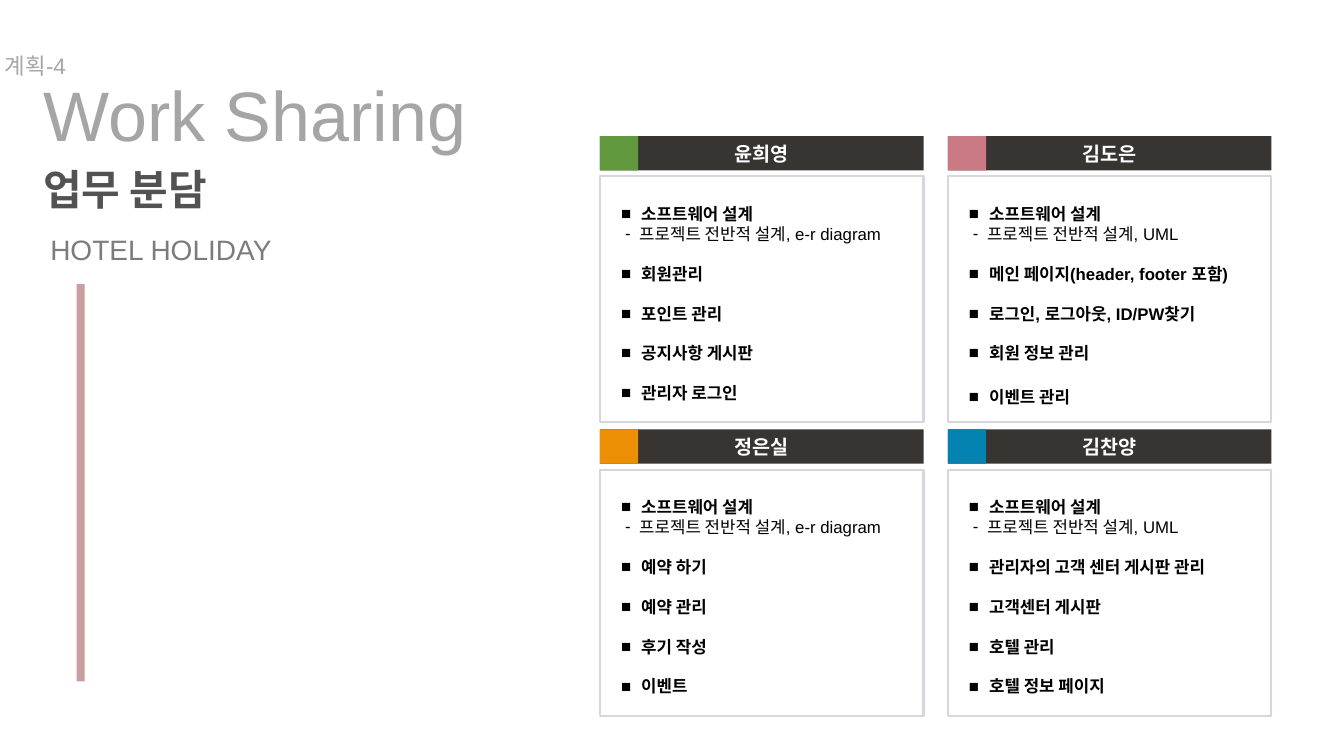
from lxml import etree
from pptx import Presentation
from pptx.dml.color import RGBColor
from pptx.enum.shapes import MSO_SHAPE
from pptx.enum.text import MSO_ANCHOR, MSO_AUTO_SIZE, PP_ALIGN
from pptx.oxml.ns import qn
from pptx.util import Inches, Pt

RECTANGLE = MSO_SHAPE.RECTANGLE
TOP, MIDDLE = MSO_ANCHOR.TOP, MSO_ANCHOR.MIDDLE
LEFT, CENTER = PP_ALIGN.LEFT, PP_ALIGN.CENTER
NO_AUTOFIT = MSO_AUTO_SIZE.NONE

COMPARISON_LAYOUT = 4
FONT = "Arial"
GRID_LEFT, GRID_TOP = 5.95, 1.35
COLUMN_STEP, ROW_STEP = 3.45, 2.91
CARD_WIDTH, CARD_HEIGHT = 3.21, 2.84
HEADER_HEIGHT, FRAME_OFFSET = 0.34, 0.4
SWATCH_WIDTH, LIST_INSET = 0.38, 0.11

ERD = "프로젝트 전반적 설계, e-r diagram"
UML = "프로젝트 전반적 설계, UML"
DESIGN = "소프트웨어 설계"
MEMBERS = [
    ("윤희영", "62983E", ERD, 14,
     ["회원관리", "포인트 관리", "공지사항 게시판", "관리자 로그인"]),
    ("김도은", "CA7A85", UML, 17,
     ["메인 페이지(header, footer 포함)", "로그인, 로그아웃, ID/PW찾기",
      "회원 정보 관리", "이벤트 관리"]),
    ("정은실", "ED8F05", ERD, 14,
     ["예약 하기", "예약 관리", "후기 작성", "이벤트"]),
    ("김찬양", "0483B0", UML, 14,
     ["관리자의 고객 센터 게시판 관리", "고객센터 게시판", "호텔 관리", "호텔 정보 페이지"]),
]


def color(hex_string):
    return RGBColor.from_string(hex_string)


def place(shape, box):
    shape.left, shape.top, shape.width, shape.height = map(Inches, box)


def style(para, size, hex_string, bold=False, align=LEFT):
    para.alignment = align
    para.font.name = FONT
    para.font.size = Pt(size)
    para.font.bold = bold
    para.font.color.rgb = color(hex_string)


def add_label(page, box, text, size, hex_string, bold=False, wrap=False):
    label = page.shapes.add_textbox(*map(Inches, box))
    label.text_frame.word_wrap = wrap
    para = label.text_frame.paragraphs[0]
    para.text = text
    style(para, size, hex_string, bold)


def add_block(page, box, fill=None, line=None):
    block = page.shapes.add_shape(RECTANGLE, *map(Inches, box))
    block.shadow.inherit = False
    if fill:
        block.fill.solid()
        block.fill.fore_color.rgb = color(fill)
    else:
        block.fill.background()
    if line:
        block.line.color.rgb = color(line)
        block.line.width = Pt(1.5)
    else:
        block.line.fill.background()
    return block


def set_bullet(para, mark, margin, hanging):
    properties = para._p.get_or_add_pPr()
    properties.set("marL", str(Inches(margin)))
    properties.set("indent", str(-Inches(hanging)))
    font = etree.SubElement(properties, qn("a:buFont"))
    font.set("typeface", FONT)
    bullet = etree.SubElement(properties, qn("a:buChar"))
    bullet.set("char", mark)


def fill_list(holder, box, detail, tasks, last_gap):
    place(holder, box)
    frame = holder.text_frame
    frame.auto_size = NO_AUTOFIT
    frame.vertical_anchor = TOP
    frame.margin_top = Inches(0.27)
    frame.text = "\n".join([DESIGN, detail] + tasks)
    gaps = [0, 0] + [14] * (len(tasks) - 1) + [last_gap]
    for index, (para, gap) in enumerate(zip(frame.paragraphs, gaps)):
        is_detail = index == 1
        para.space_before = Pt(gap)
        para.space_after = Pt(0)
        para.line_spacing = 1.0
        if is_detail:
            set_bullet(para, "-", 0.18, 0.14)
        else:
            set_bullet(para, "■", 0.2, 0.2)
        style(para, 12, "000000", not is_detail)


def add_card(page, holder, box, member):
    name, accent, detail, last_gap, tasks = member
    left, top, width, height = box
    frame_top, frame_height = top + FRAME_OFFSET, height - FRAME_OFFSET
    header = add_block(page, (left, top, width, HEADER_HEIGHT), "383431")
    header.text_frame.vertical_anchor = MIDDLE
    para = header.text_frame.paragraphs[0]
    para.text = name
    style(para, 14, "FFFFFF", True, CENTER)
    add_block(page, (left, top, SWATCH_WIDTH, HEADER_HEIGHT), accent)
    add_block(page, (left, frame_top, width, frame_height), line="D6D7DE")
    list_box = (left + LIST_INSET, frame_top, width - LIST_INSET, frame_height)
    fill_list(holder, list_box, detail, tasks, last_gap)


def add_heading(page, box):
    left, top, width, height = box
    title = page.shapes.title
    place(title, (left, top + 0.19, width, 0.94))
    title.text_frame.auto_size = NO_AUTOFIT
    title.text_frame.vertical_anchor = TOP
    para = title.text_frame.paragraphs[0]
    para.text = "Work Sharing"
    style(para, 50, "A5A5A5")
    add_label(page, (left - 0.38, top, 0.89, 0.37), "계획-4", 16, "A6A6A6", wrap=True)
    add_label(page, (left, top + 1.1, 2.03, 0.61), "업무 분담", 30, "525252", True)
    add_label(page, (left + 0.07, top + 1.79, 2.42, 0.44), "HOTEL HOLIDAY", 20, "7C7C7C")
    add_block(page, (left + 0.43, top + 2.35, 0.08, height - 2.35), "C89E9E")


def add_cards(page, left, top):
    holders = [holder for holder in page.placeholders if holder.placeholder_format.idx in range(1, 5)]
    for index, (holder, member) in enumerate(zip(holders, MEMBERS)):
        row, column = divmod(index, 2)
        box = (left + column * COLUMN_STEP, top + row * ROW_STEP, CARD_WIDTH, CARD_HEIGHT)
        add_card(page, holder, box, member)


def main():
    deck = Presentation()
    deck.slide_width, deck.slide_height = Inches(13.33), Inches(7.5)
    page = deck.slides.add_slide(deck.slide_layouts[COMPARISON_LAYOUT])
    add_heading(page, (0.33, 0.47, 5.79, 6.29))
    add_cards(page, GRID_LEFT, GRID_TOP)
    deck.save("out.pptx")


if __name__ == "__main__":
    main()
